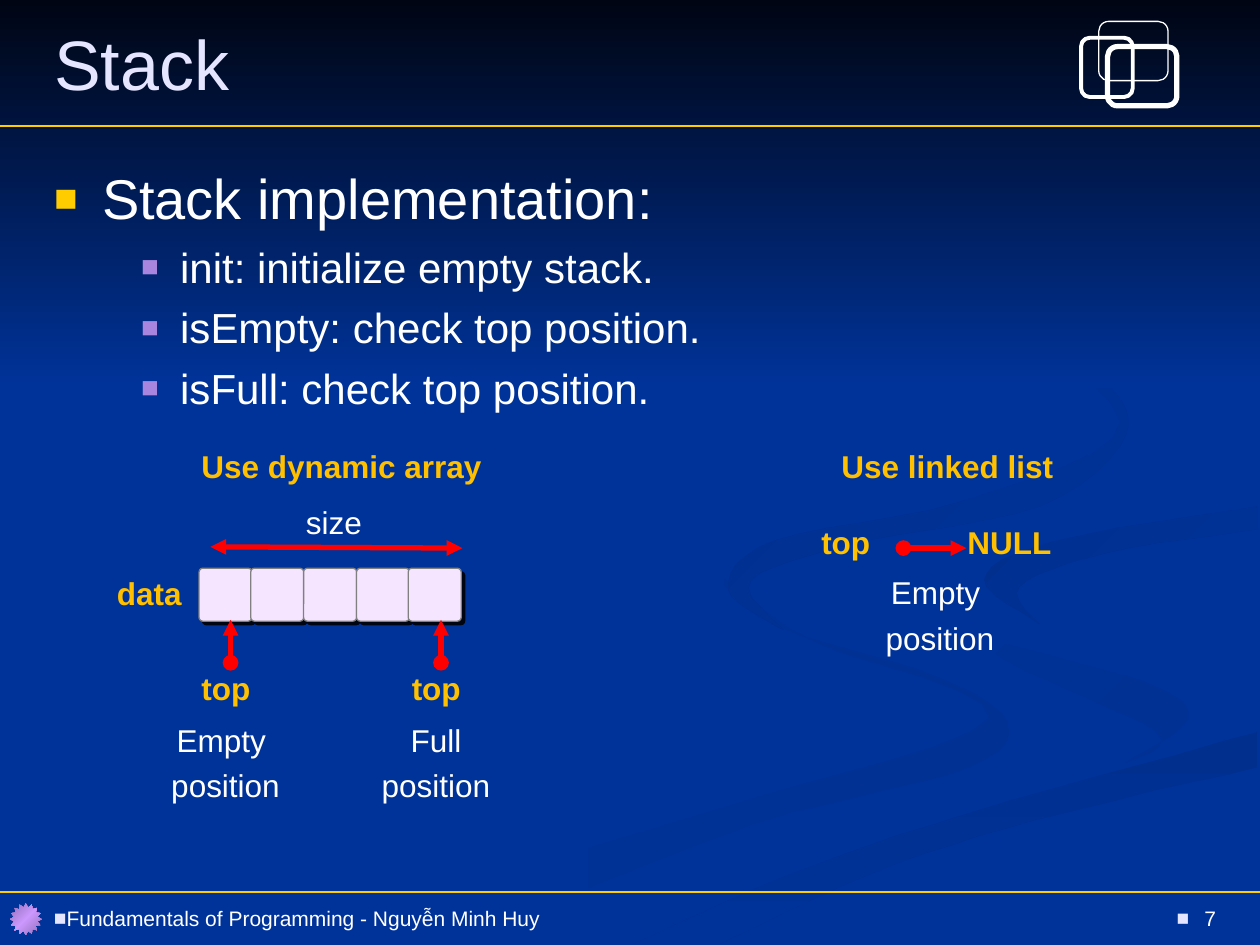
from copy import deepcopy
from dataclasses import dataclass

from lxml import etree
from pptx import Presentation
from pptx import util as u
from pptx.dml.color import RGBColor
from pptx.enum import shapes, text
from pptx.oxml.ns import qn

PX = 9144  # one px is a hundredth of an inch
SHAPE = shapes.MSO_SHAPE
ALIGN = text.PP_ALIGN


@dataclass(frozen=True)
class Theme:
    font: str = "Arial"
    bg: str = "003399"
    night: str = "000514"
    ribbon: str = "002F8E"
    pale_ribbon: str = "003193"
    title: str = "E5E5FF"
    body: str = "FFFFFF"
    rule: str = "FFCC00"
    accent: str = "FFC000"
    arrow: str = "FF0000"
    cell: str = "F5E5FF"
    cell_line: str = "808080"
    sub_bullet: str = "A886E0"
    star: tuple = ("926DB6", "CC99FF", "926DB6")
    title_pt: int = 40
    head_pt: int = 32
    item_pt: int = 24
    label_pt: int = 18
    foot_pt: int = 12


T = Theme()

# Background ribbons: fill colours, gradient angle, then both edges as curve knots
RIBBONS = [
    ((T.bg, T.pale_ribbon), 0,
     [(300, 749), (417, 690), (579, 639), (785, 570), (642, 507), (575, 459)],
     [(574, 464), (614, 496), (745, 538), (799, 573), (769, 609), (594, 656), (361, 749)]),
    ((T.bg, T.pale_ribbon), 45,
     [(724, 464), (758, 498), (905, 540), (943, 570), (894, 605)],
     [(894, 605), (918, 581), (797, 524), (724, 464)]),
    ((T.ribbon, T.bg), 90,
     [(503, 749), (630, 693), (764, 647), (998, 581)],
     [(998, 609), (821, 651), (695, 692), (571, 749)]),
    ((T.ribbon, T.bg), 45,
     [(826, 496), (781, 460), (835, 430), (998, 402)],
     [(998, 420), (878, 439), (809, 466), (826, 496)]),
    ((T.ribbon, T.bg), 45,
     [(762, 233), (864, 291), (894, 344), (825, 402), (683, 430), (596, 461), (622, 500)],
     [(622, 500), (578, 468), (615, 429), (763, 398), (889, 335), (762, 233)]),
]


def rgb(value):
    return RGBColor.from_string(value)


def curve(knots, steps=6):
    """Points of a smooth (Catmull-Rom) curve through the knots."""
    ends = [knots[0], *knots, knots[-1]]
    points = [knots[0]]
    for a, b, c, d in zip(ends, ends[1:], ends[2:], ends[3:]):
        for t in (k / steps for k in range(1, steps + 1)):
            points.append(tuple(
                (2 * q + (r - p) * t + (2 * p - 5 * q + 4 * r - v) * t ** 2 + (3 * q - p - 3 * r + v) * t ** 3) / 2
                for p, q, r, v in zip(a, b, c, d)))
    return points


def paint(sp, colours, angle=0):
    """Fill with one colour, or with a gradient of evenly spaced ones."""
    if len(colours) == 1:
        sp.fill.solid()
        sp.fill.fore_color.rgb = rgb(colours[0])
        return
    sp.fill.gradient()
    sp.fill.gradient_angle = -angle % 360
    stops = sp._element.find(".//" + qn("a:gsLst"))
    for _ in colours[2:]:
        stops.append(deepcopy(stops[0]))
    for i, (stop, colour) in enumerate(zip(sp.fill.gradient_stops, colours)):
        stop.color.rgb = rgb(colour)
        stop.position = i / (len(colours) - 1)


def add_shape(s, kind, box, line=None, width=0.75):
    sp = s.shapes.add_shape(kind, *(v * PX for v in box))
    sp.shadow.inherit = False
    sp.fill.background()
    if line:
        sp.line.color.rgb, sp.line.width = rgb(line), u.Pt(width)
    else:
        sp.line.fill.background()
    return sp


def add_line(s, x1, y1, x2, y2, colour, width, head="none", tail="none"):
    cx = s.shapes.add_connector(shapes.MSO_CONNECTOR.STRAIGHT, *(v * PX for v in (x1, y1, x2, y2)))
    cx.line.color.rgb, cx.line.width = rgb(colour), u.Pt(width)
    spPr = cx._element.spPr
    for tag, kind in (("a:headEnd", head), ("a:tailEnd", tail)):
        etree.SubElement(spPr.find(qn("a:ln")), qn(tag), type=kind)
    etree.SubElement(spPr, qn("a:effectLst"))


def set_bullet(p, colour, percent, left, indent):
    pPr = p._p.get_or_add_pPr()
    pPr.set("marL", str(left * PX))
    pPr.set("indent", str(indent * PX))
    clr = etree.SubElement(pPr, qn("a:buClr"))
    etree.SubElement(clr, qn("a:srgbClr"), val=colour)
    etree.SubElement(pPr, qn("a:buSzPct"), val=str(percent * 1000))
    etree.SubElement(pPr, qn("a:buFont"), typeface=T.font)
    etree.SubElement(pPr, qn("a:buChar"), char="■")


def write(p, words, size, colour, bold=False, align=ALIGN.LEFT, first=True):
    p.alignment = align
    p.space_before = u.Pt(0 if first else round(size * 0.24, 1))
    r = p.add_run()
    r.text = words
    for name, value in dict(name=T.font, size=u.Pt(size), bold=bold).items():
        setattr(r.font, name, value)
    r.font.color.rgb = rgb(colour)


def frame(sp, anchor=text.MSO_ANCHOR.TOP):
    tf = sp.text_frame
    for name, value in dict(word_wrap=True, auto_size=text.MSO_AUTO_SIZE.NONE, vertical_anchor=anchor).items():
        setattr(tf, name, value)
    return tf


def add_label(s, box, *lines, colour=T.accent, bold=True, align=ALIGN.LEFT):
    tf = frame(s.shapes.add_textbox(*(v * PX for v in box)))
    for i, words in enumerate(lines):
        p = tf.add_paragraph() if i else tf.paragraphs[0]
        write(p, words, T.label_pt, colour, bold, align, first=not i)


def add_position(s, x, y, word):
    add_label(s, (x, y, 108, 75), word, "position", colour=T.body, bold=False, align=ALIGN.CENTER)


def backdrop(s):
    paint(s.background, [T.bg])
    for colours, angle, edge, back in RIBBONS:
        points = curve(edge) + curve(back)
        fb = s.shapes.build_freeform(*points[0], scale=PX)
        fb.add_line_segments(points[1:], close=True)
        sp = fb.convert_to_shape()
        sp.shadow.inherit = False
        sp.line.fill.background()
        paint(sp, colours, angle)
    paint(add_shape(s, SHAPE.RECTANGLE, (0, 0, 1000, 308)), (T.night, T.bg), 90)
    for y in (100, 708):
        add_line(s, 0, y, 1000, y, T.rule, 0.75)
    # Corner ornament
    for box, width in (((858, 30, 41, 47), 2.25), ((872, 17, 55, 47), 0.75), ((879, 37, 55, 47), 3)):
        add_shape(s, SHAPE.FLOWCHART_ALTERNATE_PROCESS, box, T.body, width)


def place(s, sp, box):
    """Move a placeholder to its box, in front of the backdrop."""
    s.shapes._spTree.append(sp._element)
    for name, value in zip(("left", "top", "width", "height"), box):
        setattr(sp, name, value * PX)


def heading(s, box):
    place(s, s.shapes.title, box)
    tf = frame(s.shapes.title, text.MSO_ANCHOR.MIDDLE)
    write(tf.paragraphs[0], "Stack", T.title_pt, T.title)


def outline(s, box):
    body = s.placeholders[1]
    place(s, body, box)
    tf = frame(body)
    p = tf.paragraphs[0]
    set_bullet(p, T.rule, 70, 38, -38)
    write(p, "Stack implementation:", T.head_pt, T.body)
    for item in ("init: initialize empty stack.", "isEmpty: check top position.", "isFull: check top position."):
        p = tf.add_paragraph()
        p.level = 1
        set_bullet(p, T.sub_bullet, 70, 100, -31)
        write(p, item, T.item_pt, T.body, first=False)


def footer(s, x, y, h):
    paint(add_shape(s, SHAPE.STAR_16_POINT, (x + 8, y + 9, 25, 25)), T.star, 45)
    for left, width, words, align, gap in (
            (33, 692, "Fundamentals of Programming - Nguyễn Minh Huy", ALIGN.LEFT, 0),
            (742, 233, "7", ALIGN.RIGHT, 22)):
        sp = s.shapes.add_textbox(*(v * PX for v in (x + left, y, width, h)))
        p = frame(sp, text.MSO_ANCHOR.MIDDLE).paragraphs[0]
        set_bullet(p, T.title, 100, gap, -gap)
        write(p, words, T.foot_pt, T.body, align=align)


def dynamic_array(s, x, y):
    add_label(s, (x + 67, y, 267, 40), "Use dynamic array")
    add_label(s, (x + 150, y + 44, 67, 40), "size", colour=T.body, bold=False)
    add_label(s, (x, y + 101, 83, 40), "data")
    # Array cells
    for i in range(5):
        sp = add_shape(s, SHAPE.ROUNDED_RECTANGLE, (x + 75 + i * 125 // 3, y + 101, 42, 42), T.cell_line)
        paint(sp, [T.cell])
        sp.adjustments[0] = 0.07
        effects = sp._element.spPr.find(qn("a:effectLst"))
        shadow = etree.SubElement(effects, qn("a:outerShdw"), dist="35921", dir="2700000", algn="ctr", rotWithShape="0")
        etree.SubElement(shadow, qn("a:srgbClr"), val=T.night)
    add_line(s, x + 84, y + 84, x + 284, y + 85, T.arrow, 3, "triangle", "triangle")
    # Pointers to the first and last cells
    for left, word in ((67, "Empty "), (234, "Full")):
        add_line(s, x + left + 33, y + 176, x + left + 33, y + 142, T.arrow, 3, "oval", "triangle")
        add_label(s, (x + left, y + 176, 67, 40), "top")
        add_position(s, x + left - 25, y + 217, word)


def linked_list(s, x, y):
    add_label(s, (x + 16, y, 192, 40), "Use linked list")
    add_label(s, (x, y + 60, 83, 40), "top")
    add_label(s, (x + 116, y + 60, 92, 40), "NULL")
    add_line(s, x + 75, y + 85, x + 125, y + 85, T.arrow, 3, "oval", "triangle")
    add_position(s, x + 50, y + 100, "Empty ")


def main():
    prs = Presentation()
    prs.slide_width, prs.slide_height = 1000 * PX, 750 * PX
    s = prs.slides.add_slide(prs.slide_layouts[1])
    backdrop(s)
    heading(s, (33, 0, 942, 100))
    outline(s, (33, 125, 942, 567))
    footer(s, 0, 708, 42)
    dynamic_array(s, 83, 350)
    linked_list(s, 642, 350)
    prs.save("out.pptx")


if __name__ == "__main__":
    main()
